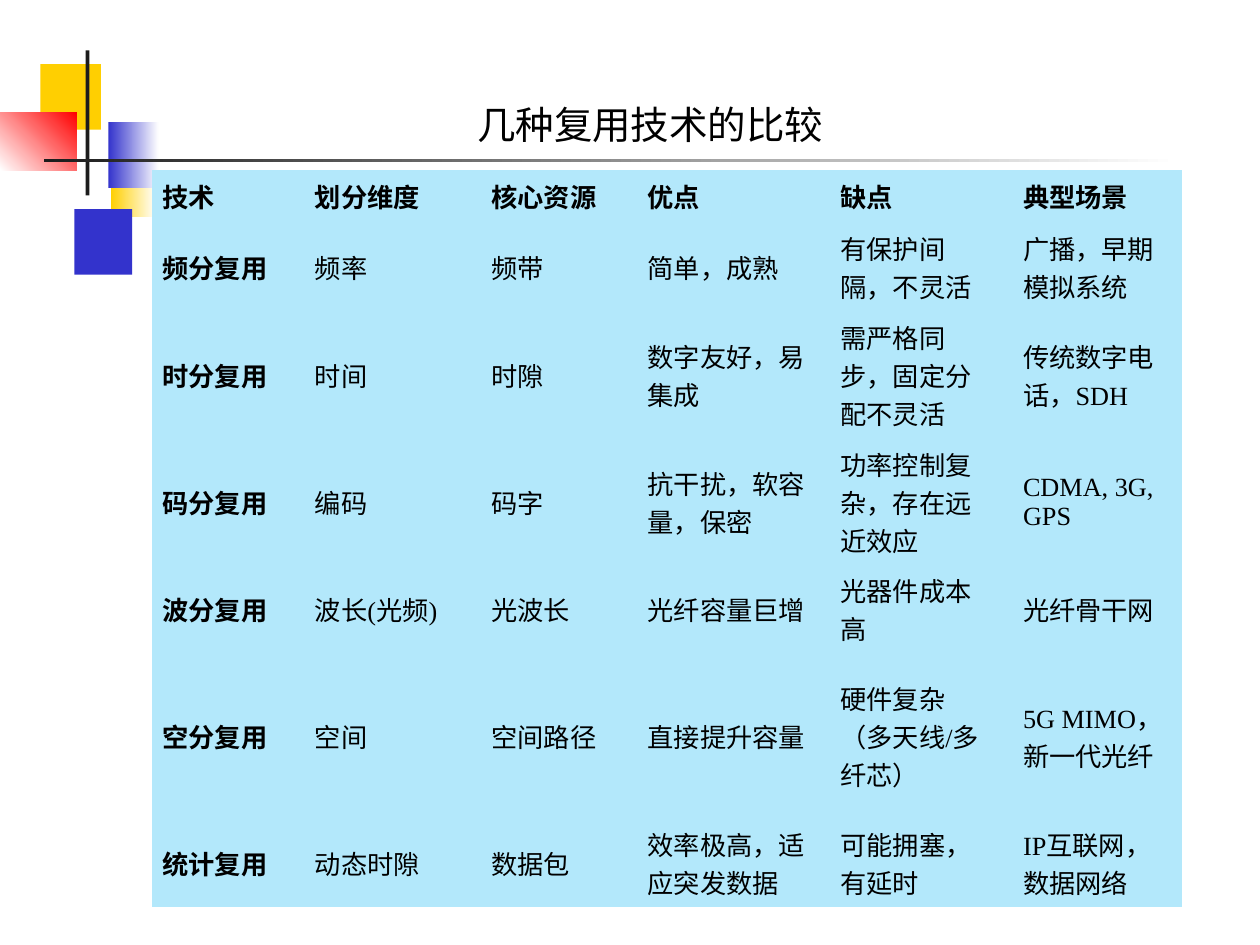
"""Build a slide that compares six multiplexing techniques in a table."""
from lxml import etree
from pptx import Presentation
from pptx import util as u
from pptx.dml.color import RGBColor
from pptx.enum import shapes, text
from pptx.oxml import ns

YELLOW = RGBColor(0xFF, 0xCF, 0x01)
BLUE = RGBColor(0x33, 0x33, 0xCC)
RED = RGBColor(0xFF, 0x00, 0x00)
CHARCOAL = RGBColor(0x1C, 0x1C, 0x1C)
WHITE = RGBColor(0xFF, 0xFF, 0xFF)
BLACK = RGBColor(0x00, 0x00, 0x00)
SKY = RGBColor(0xB3, 0xE8, 0xFB)
LATIN, CJK = "Times New Roman", "Noto Sans CJK SC"
NO_STYLE = "{2D5ABB26-0587-4C30-8999-92F81FD0307C}"

deck = Presentation()
deck.slide_width, deck.slide_height = u.Inches(10), u.Inches(7.5)
UNIT = deck.slide_width / 100


def grid(*units):
    return [round(UNIT * n) for n in units]


def write(paragraph, words, **formats):
    paragraph._p.get_or_add_pPr().set("hangingPunct", "0")
    run = paragraph.add_run()
    run.text = words
    for name, value in formats.items():
        setattr(run.font, name, value)
    run.font.color.rgb = BLACK
    etree.SubElement(run.font._element, ns.qn("a:ea"), typeface=CJK)


slide = deck.slides.add_slide(deck.slide_layouts[6])

ornaments = [
    ((8.8, 12, 3.6, 5.2), (YELLOW, WHITE), 0),
    ((5.9, 16.6, 4.6, 5.2), (BLUE,), 0),
    ((3.2, 5.1, 4.8, 5.2), (YELLOW,), 0),
    ((8.6, 9.7, 4, 5.2), (BLUE, WHITE), 0),
    ((0, 8.9, 6.1, 4.6), (WHITE, RED), 45),
    ((6.8, 4, 0.3, 11.5), (CHARCOAL,), 0),
    ((3.5, 12.6, 90, 0.3), (CHARCOAL, WHITE), 0),
]
for place, colours, angle in ornaments:
    ornament = slide.shapes.add_shape(shapes.MSO_SHAPE.RECTANGLE, *grid(*place))
    ornament.shadow.inherit = False
    ornament.line.fill.background()
    if len(colours) == 1:
        ornament.fill.solid()
        ornament.fill.fore_color.rgb = colours[0]
    else:
        ornament.fill.gradient()
        ornament.fill.gradient_angle = angle
        for stop, colour in zip(ornament.fill.gradient_stops, colours):
            stop.color.rgb = colour

comparison = [
    ("技术", "划分维度", "核心资源", "优点", "缺点", "典型场景"),
    ("频分复用", "频率", "频带", "简单，成熟", "有保护间隔，不灵活", "广播，早期模拟系统"),
    ("时分复用", "时间", "时隙", "数字友好，易集成", "需严格同步，固定分配不灵活", "传统数字电话，SDH"),
    ("码分复用", "编码", "码字", "抗干扰，软容量，保密", "功率控制复杂，存在远近效应", "CDMA, 3G, GPS"),
    ("波分复用", "波长(光频)", "光波长", "光纤容量巨增", "光器件成本高", "光纤骨干网"),
    ("空分复用", "空间", "空间路径", "直接提升容量", "硬件复杂（多天线/多纤芯）", "5G MIMO， 新一代光纤"),
    ("统计复用", "动态时隙", "数据包", "效率极高，适应突发数据", "可能拥塞，有延时", "IP互联网， 数据网络"),
]
column_widths = grid(11.5, 14, 12.4, 15.3, 14.5, 14)
row_heights = grid(4.2, 7.05, 10.05, 10.05, 7.05, 13.05, 7.05)
LAST = len(column_widths) - 1
table = slide.shapes.add_table(
    len(comparison), len(column_widths), *grid(12.1, 13.5),
    sum(column_widths), sum(row_heights)).table
table.first_row = table.horz_banding = False
table._tbl.tblPr.find(ns.qn("a:tableStyleId")).text = NO_STYLE
for column, width in zip(table.columns, column_widths):
    column.width = width
for row, height in zip(table.rows, row_heights):
    row.height = height

for r, entries in enumerate(comparison):
    for c, entry in enumerate(entries):
        cell = table.cell(r, c)
        cell_format = {
            "vertical_anchor": text.MSO_ANCHOR.MIDDLE,
            "margin_left": u.Inches(0.08 if c == 0 else 0.14),
            "margin_right": u.Inches(0.08 if c == LAST and r else 0.14),
            "margin_top": u.Inches(0.05),
            "margin_bottom": u.Inches(0.05),
        }
        for name, value in cell_format.items():
            setattr(cell, name, value)
        cell.fill.solid()
        cell.fill.fore_color.rgb = SKY
        write(cell.text_frame.paragraphs[0], entry,
              size=u.Pt(15), name=LATIN, bold=r == 0 or c == 0)

title = slide.shapes.add_textbox(*grid(36.9, 7.5, 30.4, 4.7)).text_frame
title.word_wrap = True
write(title.paragraphs[0], "几种复用技术的比较", size=u.Pt(22), name=CJK)

deck.save("out.pptx")
